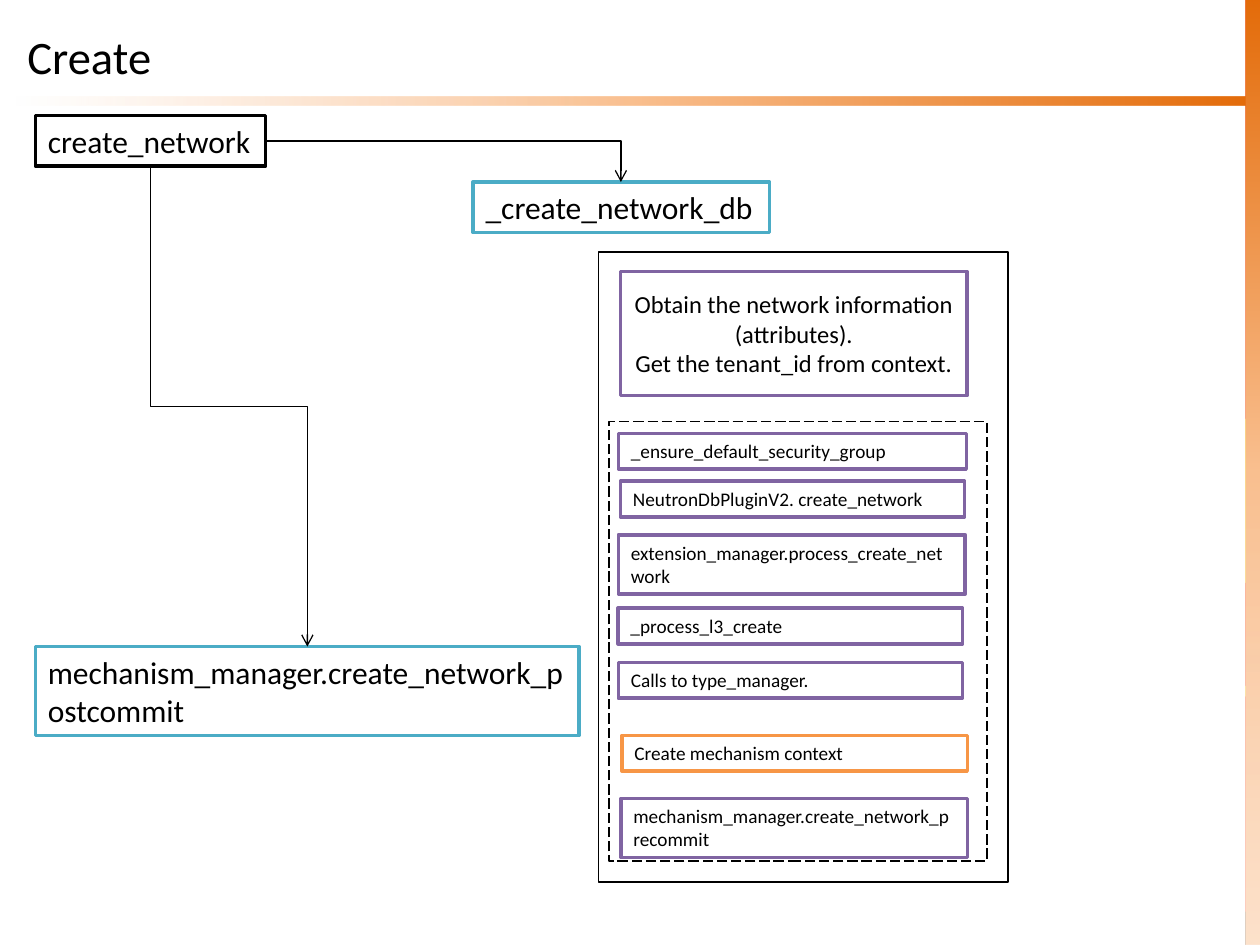
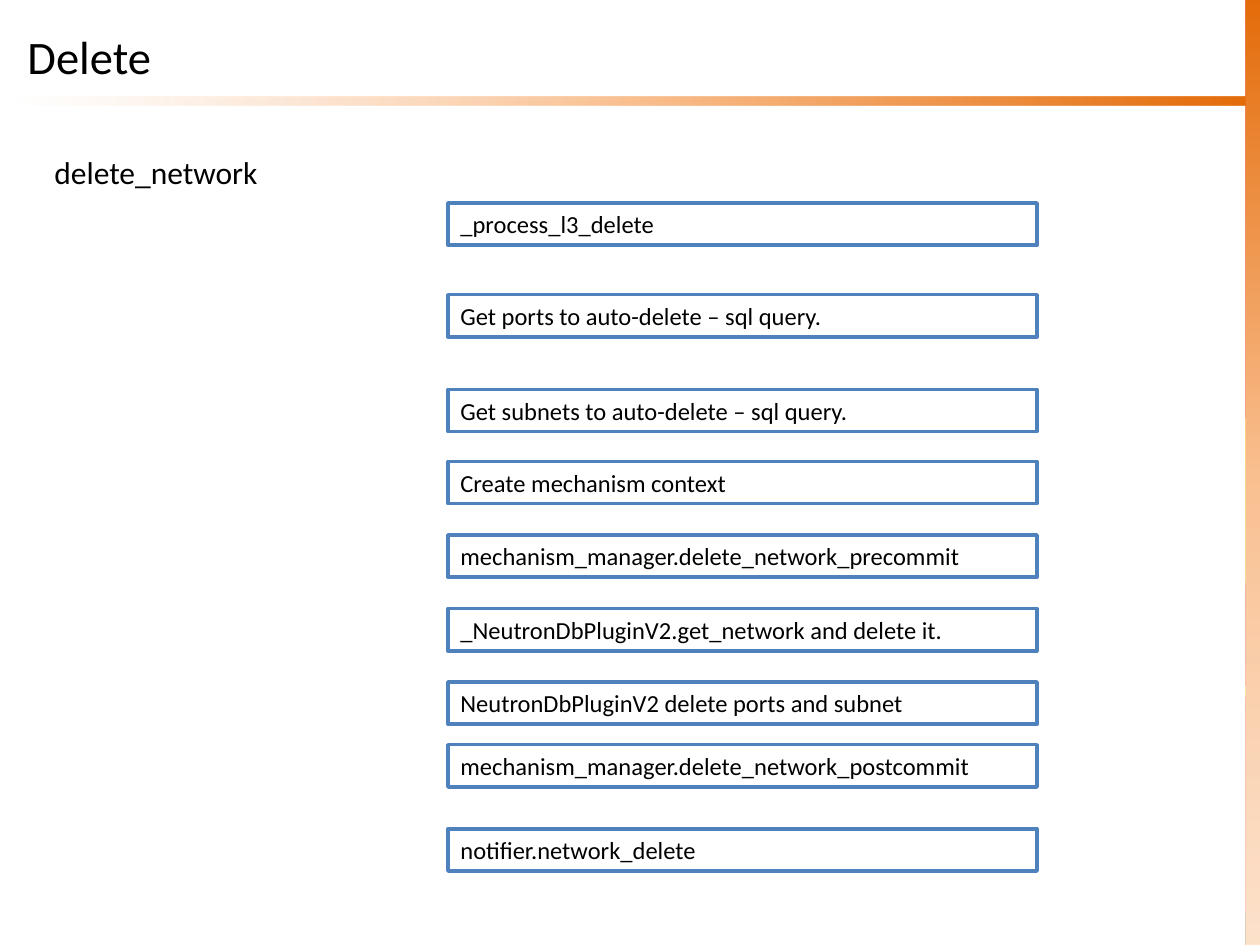
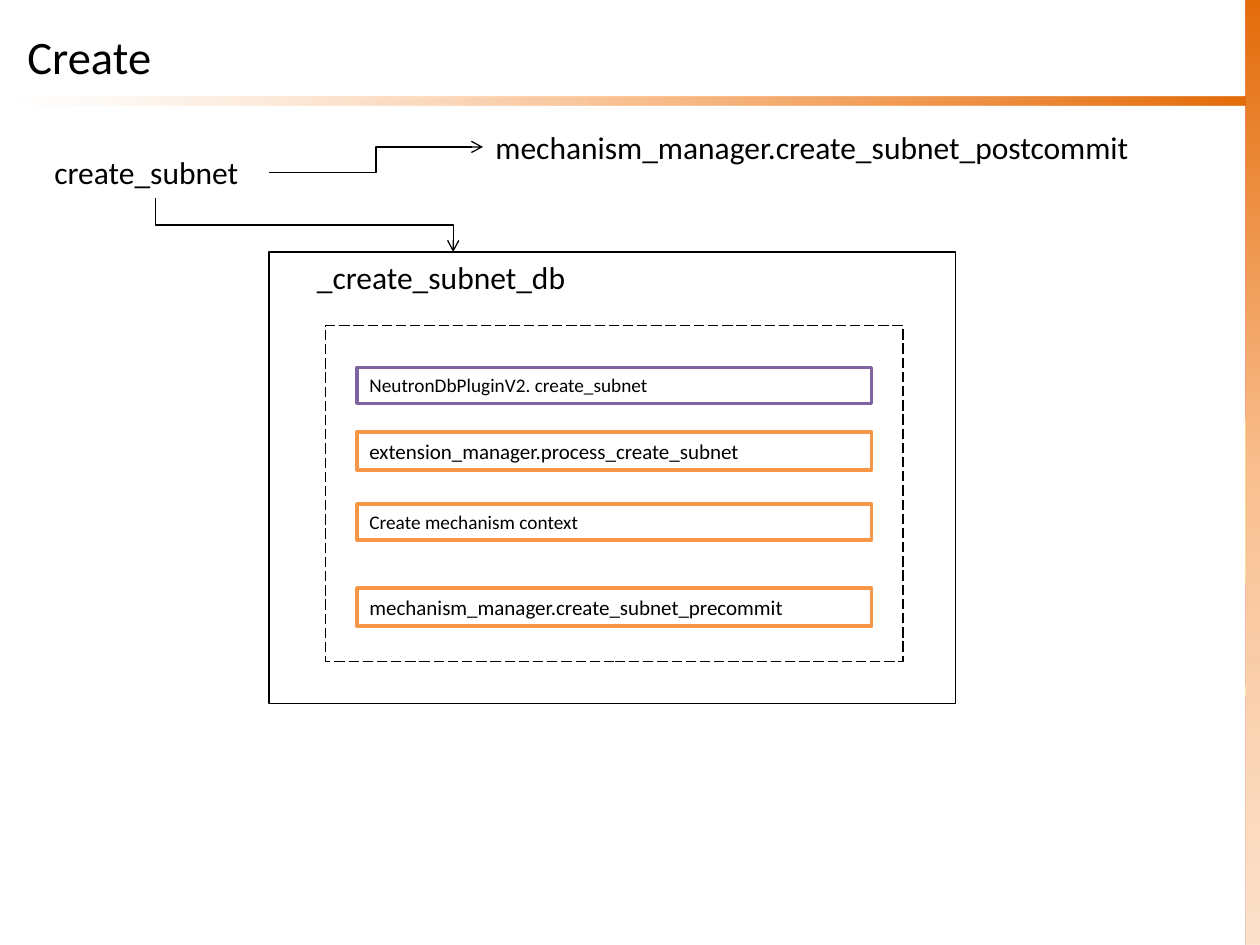
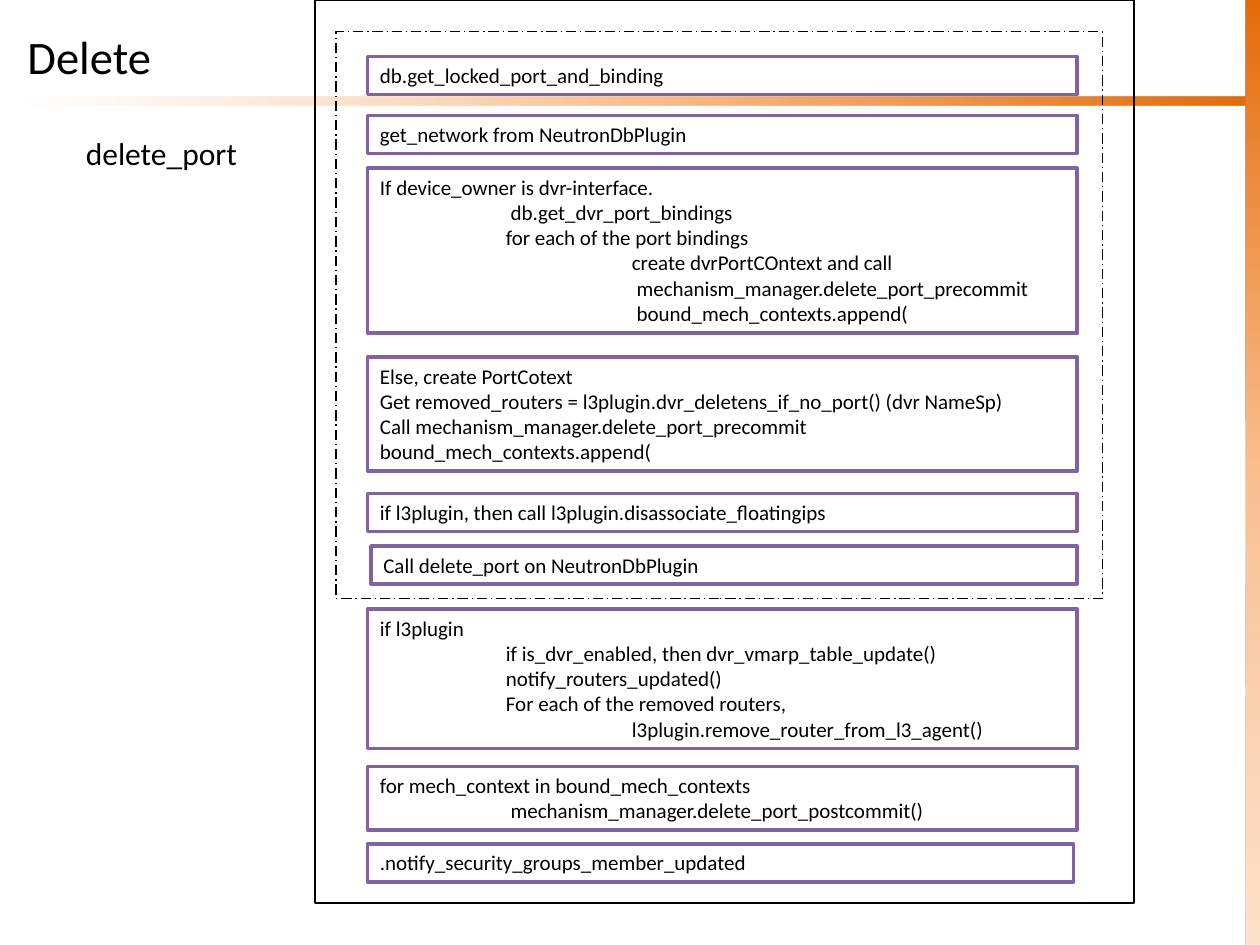
"""Build four slides that chart the create and delete calls of a network plugin."""
import dataclasses

import lxml.etree
import pptx
import pptx.dml.color
import pptx.enum.dml
import pptx.enum.shapes
import pptx.enum.text
import pptx.oxml.ns
import pptx.util

Pt = pptx.util.Pt
qn = pptx.oxml.ns.qn
SHAPES = pptx.enum.shapes.MSO_SHAPE
DASHES = pptx.enum.dml.MSO_LINE
ANCHORS = pptx.enum.text.MSO_ANCHOR

FONT = "Calibri"
TAB_WIDTH = 72
COLORS = {
    "black": "000000", "white": "FFFFFF", "purple": "8064A2", "teal": "4BACC6",
    "blue": "4F81BD", "orange": "F79646", "band_dark": "E46C0A",
    "band_middle": "FAC090", "band_light": "FCD5B5",
}


@dataclasses.dataclass
class Box:
    """A text box, outlined when it has a line colour."""
    text: str
    left: float
    top: float
    width: float
    size: float = 12
    line: str = "purple"
    rows: int = 0
    height: float = 0
    wrap: bool = True
    centered: bool = False


def label(text, left, top, width, wrap=False):
    """Describe a large text without an outline."""
    return Box(text, left, top, width, 18, "", wrap=wrap)


def column(left, width, steps):
    """Describe boxes below each other that share a left edge and a width."""
    return [Box(text, left, top, width, size, line) for text, top, size, line in steps]


DELETE_NETWORK_STEPS = [
    ("_process_l3_delete", 116),
    ("Get ports to auto-delete – sql query.", 168.4),
    ("Get subnets to auto-delete – sql query.", 222.5),
    ("Create mechanism context", 263.7),
    ("mechanism_manager.delete_network_precommit", 305.7),
    ("_NeutronDbPluginV2.get_network and delete it.", 347.8),
    ("NeutronDbPluginV2 delete ports and subnet", 389.7),
    ("mechanism_manager.delete_network_postcommit", 425.6),
    ("notifier.network_delete", 473.6),
]
CREATE_SUBNET_STEPS = [
    ("NeutronDbPluginV2. create_subnet", 210, 11, "purple"),
    ("extension_manager.process_create_subnet", 246.8, 12, "orange"),
    ("Create mechanism context", 288, 11, "orange"),
    ("mechanism_manager.create_subnet_precommit", 336, 12, "orange"),
]
DVR_BINDINGS = """If device_owner is dvr-interface.
\t db.get_dvr_port_bindings
\tfor each of the port bindings
\t\tcreate dvrPortCOntext and call
\t\t mechanism_manager.delete_port_precommit
\t\t bound_mech_contexts.append("""
PORT_CONTEXT = """Else, create PortCotext
Get removed_routers = l3plugin.dvr_deletens_if_no_port() (dvr NameSp)
Call mechanism_manager.delete_port_precommit
bound_mech_contexts.append("""
ROUTER_UPDATES = """if l3plugin
\tif is_dvr_enabled, then dvr_vmarp_table_update()
\tnotify_routers_updated()
\tFor each of the removed routers,
\t\tl3plugin.remove_router_from_l3_agent()"""
POSTCOMMIT_LOOP = """for mech_context in bound_mech_contexts
\t mechanism_manager.delete_port_postcommit()"""

SLIDES = [
    {
        "title": "Create",
        "boxes": [
            Box("_create_network_db", 270.4, 104, 169.4, 18, "teal", wrap=False),
            Box("create_network", 20.2, 66, 131.6, 18, "black", wrap=False),
            Box("Obtain the network information (attributes).\n"
                "Get the tenant_id from context.",
                354.6, 155.1, 198, 14, height=71, centered=True),
            Box("_ensure_default_security_group", 353.4, 247.6, 198.8, 11),
            Box("NeutronDbPluginV2. create_network", 354.6, 275, 196.6, 11),
            Box("extension_manager.process_create_network",
                353.4, 305.6, 198.2, 11, rows=2),
            Box("_process_l3_create", 353.2, 347.5, 196.8, 11),
            Box("Calls to type_manager.", 353.4, 378.5, 196.6, 11),
            Box("Create mechanism context", 355.4, 420.2, 197.4, 11, "orange"),
            Box("mechanism_manager.create_network_precommit",
                354.8, 456.2, 198, 11, rows=2),
            Box("mechanism_manager.create_network_postcommit",
                20.2, 369.5, 310.6, 18, "teal", rows=2),
        ],
        "frames": [
            (348, 241, 216, 251, DASHES.LONG_DASH),
            (342, 144, 234, 360, None),
        ],
        "arrows": [
            ("corner", (151.8, 80.5), (354.8, 104)),
            ("down", (86, 95), (175.6, 369.5)),
        ],
    },
    {
        "title": "Delete",
        "boxes": [label("delete_network", 24, 84, 137.4)]
        + column(256, 336.6, [step + (14, "blue") for step in DELETE_NETWORK_STEPS]),
    },
    {
        "title": "Create",
        "boxes": [
            label("_create_subnet_db", 174, 144, 170),
            label("create_subnet", 24, 84, 129.6),
            label("mechanism_manager.create_subnet_postcommit", 276, 69.4, 414, wrap=True),
        ] + column(204, 294, CREATE_SUBNET_STEPS),
        "frames": [
            (153.8, 144, 392.2, 258, None),
            (186, 186, 330, 192, DASHES.LONG_DASH),
        ],
        "arrows": [
            ("down", (88.8, 113.2), (259, 144)),
            ("across", (153.8, 98.6), (276, 84)),
        ],
    },
    {
        "title": "Delete",
        "boxes": [
            Box("db.get_locked_port_and_binding", 210, 32.3, 405.6),
            Box("get_network from NeutronDbPlugin", 210, 66, 405.6),
            Box(DVR_BINDINGS, 210, 96, 405.6, wrap=False),
            Box(PORT_CONTEXT, 210, 204, 405.6),
            Box("if l3plugin, then call l3plugin.disassociate_floatingips", 210, 282, 405.6),
            Box("Call delete_port on NeutronDbPlugin", 212, 312, 403.6),
            Box(ROUTER_UPDATES, 210, 348, 405.6),
            Box(POSTCOMMIT_LOOP, 210, 438, 405.6),
            Box(".notify_security_groups_member_updated", 210, 482.2, 403.4),
            label("delete_port", 42, 73, 105),
        ],
        "frames": [
            (192, 18, 438, 324, DASHES.LONG_DASH_DOT),
            (180, 0, 468, 516, None),
        ],
    },
]


def color(name):
    return pptx.dml.color.RGBColor.from_string(COLORS[name])


def add_rectangle(slide, left, top, width, height):
    shape = slide.shapes.add_shape(
        SHAPES.RECTANGLE, Pt(left), Pt(top), Pt(width), Pt(height))
    shape.shadow.inherit = False
    return shape


def add_tab_stops(paragraph, count):
    """Add evenly spaced left tab stops."""
    properties = paragraph._p.get_or_add_pPr()
    stops = lxml.etree.SubElement(properties, qn("a:tabLst"))
    for number in range(1, count + 1):
        position = str(Pt(number * TAB_WIDTH))
        lxml.etree.SubElement(stops, qn("a:tab"), pos=position, algn="l")


def write_text(shape, text, size, centered=False):
    text_frame = shape.text_frame
    text_frame.text = text
    for paragraph in text_frame.paragraphs:
        paragraph.alignment = getattr(
            pptx.enum.text.PP_ALIGN, "CENTER" if centered else "LEFT")
        tab_count = paragraph.text.count("\t")
        if tab_count:
            add_tab_stops(paragraph, tab_count)
        for run in paragraph.runs:
            run.font.name = FONT
            run.font.size = Pt(size)
            run.font.color.rgb = color("black")


def add_band(slide, left, top, width, height, angle, end_alpha):
    """Add a rectangle whose orange gradient fades out."""
    shape = add_rectangle(slide, left, top, width, height)
    shape.line.fill.background()
    shape.fill.gradient()
    gradient = shape._element.spPr.find(qn("a:gradFill"))
    gradient.set("rotWithShape", "1")
    for child in list(gradient):
        gradient.remove(child)
    stops = lxml.etree.SubElement(gradient, qn("a:gsLst"))
    for position, name in ((0, "band_dark"), (50, "band_middle"), (100, "band_light")):
        stop = lxml.etree.SubElement(stops, qn("a:gs"), pos=str(position * 1000))
        tint = lxml.etree.SubElement(stop, qn("a:srgbClr"), val=COLORS[name])
    lxml.etree.SubElement(tint, qn("a:alpha"), val=str(end_alpha * 1000))
    lxml.etree.SubElement(gradient, qn("a:lin"), ang=str(angle * 60000), scaled="0")
    return shape


def add_base(slide, title):
    """Add the bands and the title that all slides share."""
    add_band(slide, 711.7, 0, 8.3, 540, 90, 69)
    rule = add_band(slide, 8.6, 55.2, 703, 5.2, 0, 0)
    rule.rotation = 180
    rule._element.spPr.xfrm.set("flipV", "1")
    heading = slide.shapes.add_textbox(Pt(8.6), Pt(9.4), Pt(702.8), Pt(45.4))
    heading.text_frame.word_wrap = True
    heading.text_frame.vertical_anchor = ANCHORS.MIDDLE
    write_text(heading, title, 26.6)


def add_box(slide, box):
    rows = box.rows or box.text.count("\n") + 1
    height = box.height or round(rows * box.size * 1.21 + 7.2, 2)
    if box.line:
        shape = add_rectangle(slide, box.left, box.top, box.width, height)
        shape.fill.solid()
        shape.fill.fore_color.rgb = color("white")
        shape.line.color.rgb = color(box.line)
        shape.line.width = Pt(2)
    else:
        shape = slide.shapes.add_textbox(
            Pt(box.left), Pt(box.top), Pt(box.width), Pt(height))
    text_frame = shape.text_frame
    text_frame.word_wrap = box.wrap
    text_frame.vertical_anchor = ANCHORS.MIDDLE if box.centered else ANCHORS.TOP
    if not box.height:
        text_frame.auto_size = pptx.enum.text.MSO_AUTO_SIZE.SHAPE_TO_FIT_TEXT
    write_text(shape, box.text, box.size, box.centered)


def add_frame(slide, left, top, width, height, dash):
    frame = add_rectangle(slide, left, top, width, height)
    frame.fill.background()
    frame.line.color.rgb = color("black")
    frame.line.width = Pt(0.75)
    if dash:
        frame.line.dash_style = dash


def add_arrow(slide, route, start, end):
    """Add an elbow arrow; a downward one is an across one turned by 270 degrees."""
    (start_x, start_y), (end_x, end_y) = start, end
    if route == "down":
        center_x, center_y = (start_x + end_x) / 2, (start_y + end_y) / 2
        half_width, half_height = (end_y - start_y) / 2, (end_x - start_x) / 2
        start_x, end_x = center_x + half_width, center_x - half_width
        start_y, end_y = center_y - half_height, center_y + half_height
    connector = slide.shapes.add_connector(
        pptx.enum.shapes.MSO_CONNECTOR.ELBOW,
        Pt(start_x), Pt(start_y), Pt(end_x), Pt(end_y))
    connector.line.color.rgb = color("black")
    connector.line.width = Pt(0.75)
    properties = connector._element.spPr
    if route == "down":
        properties.find(qn("a:xfrm")).set("rot", str(270 * 60000))
    if route == "corner":
        properties.find(qn("a:prstGeom")).set("prst", "bentConnector2")
    lxml.etree.SubElement(properties.find(qn("a:ln")), qn("a:tailEnd"), type="arrow")
    lxml.etree.SubElement(properties, qn("a:effectLst"))


def main():
    presentation = pptx.Presentation()
    presentation.slide_width, presentation.slide_height = Pt(720), Pt(540)
    blank_layout = presentation.slide_layouts[6]
    for content in SLIDES:
        slide = presentation.slides.add_slide(blank_layout)
        add_base(slide, content["title"])
        for box in content["boxes"]:
            add_box(slide, box)
        for frame in content.get("frames", []):
            add_frame(slide, *frame)
        for arrow in content.get("arrows", []):
            add_arrow(slide, *arrow)
    presentation.save("out.pptx")


if __name__ == "__main__":
    main()
